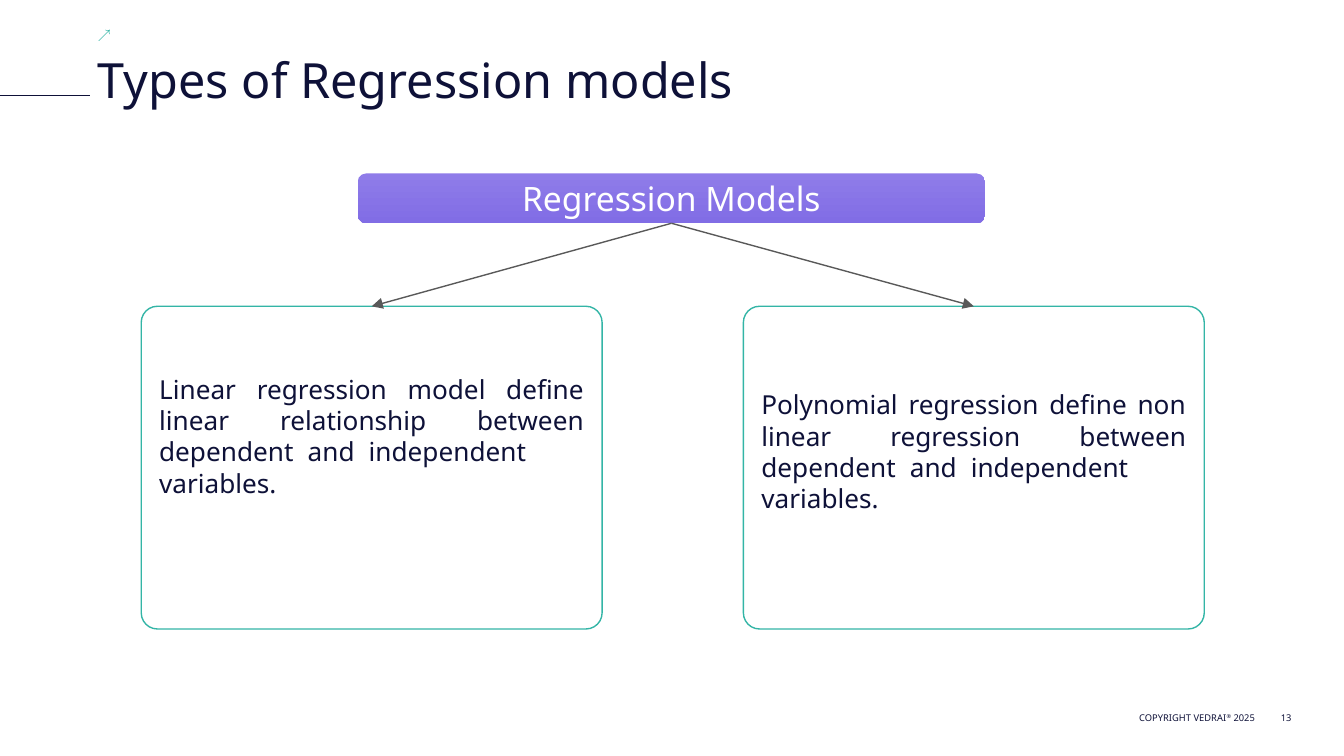
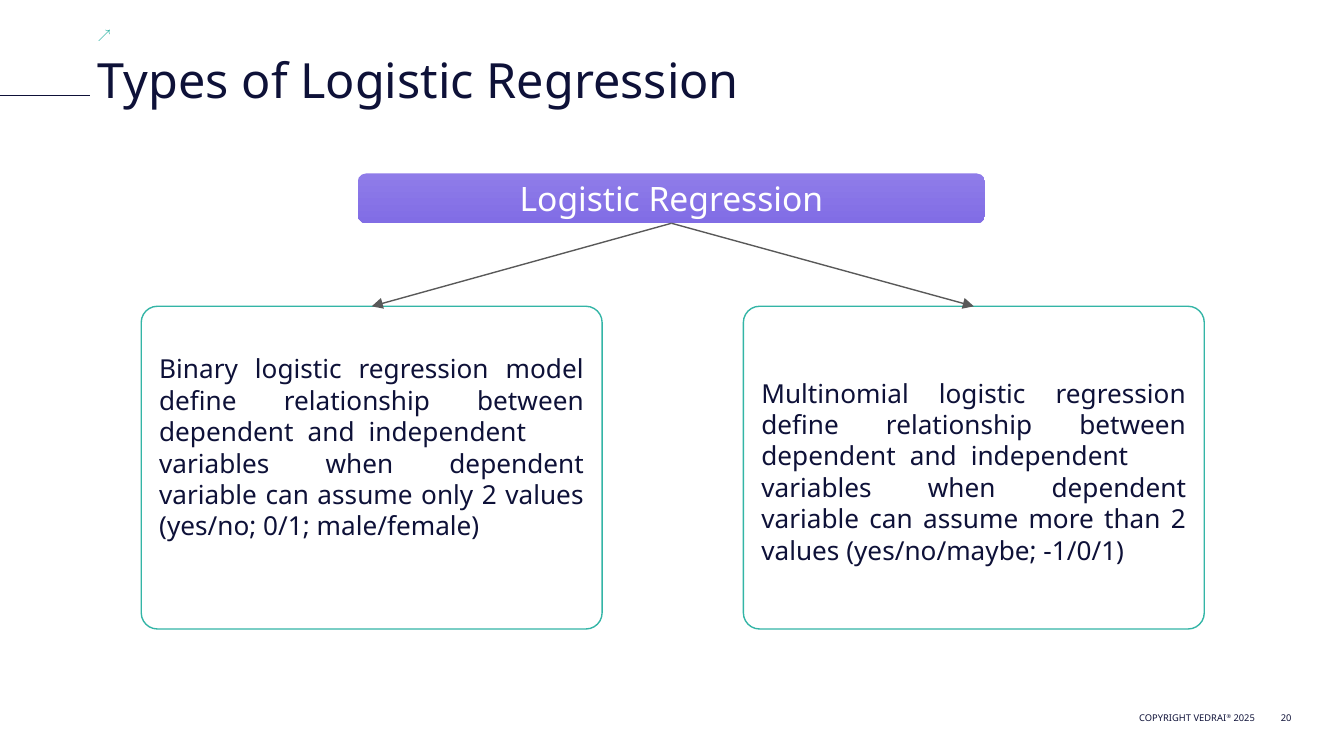
"""Build two slides that split a regression family into its two types."""
from lxml.etree import SubElement as Sub
from pptx import Presentation
from pptx.dml.color import RGBColor as Rgb
from pptx.enum.shapes import MSO_CONNECTOR as Link, MSO_SHAPE as Form
from pptx.enum.text import MSO_ANCHOR as Anchor, MSO_AUTO_SIZE as Fit, PP_ALIGN as Align
from pptx.oxml.ns import qn
from pptx.util import Cm, Pt

FONT = "Noto Sans"
HEX = {"ink": "0E1138", "mark": "00A491", "edge": "33B5A6", "arrow": "595959",
       "light": "8F7CE9", "deep": "816DE5", "white": "FFFFFF"}
CREDIT = [("COPYRIGHT VEDRAI", 0), ("®", 30), (" 2025", 0)]
PAGES = [
    {"title": "Types of Regression models", "head": "Regression Models", "page": "13",
     "kinds": [
         ("Linear regression model define linear relationship between "
          "dependent and independent \tvariables.", 1.17),
         ("Polynomial regression define non linear regression between "
          "dependent and independent \tvariables.", 1.47)]},
    {"title": "Types of Logistic Regression", "head": "Logistic Regression", "page": "20",
     "kinds": [
         ("Binary logistic regression model define relationship between "
          "dependent and independent \tvariables when dependent variable can "
          "assume only 2 values (yes/no; 0/1; male/female)", 0.79),
         ("Multinomial logistic regression define relationship between "
          "dependent and independent \tvariables when dependent variable can "
          "assume more than 2 values (yes/no/maybe; -1/0/1)", 1.25)]},
]
LEFT, STEP = 2.67, 11.38
TOP, WIDE, HIGH = 5.79, 8.71, 6.1


def tint(name):
    return Rgb.from_string(HEX[name])


def put(shape, text, size=14, ink="ink", align=Align.LEFT, anchor=Anchor.TOP,
        pad=(0, 0, 0, 0), gap=None, wrap=True):
    frame = shape.text_frame
    frame.auto_size = Fit.NONE
    frame.word_wrap = wrap
    frame.vertical_anchor = anchor
    (frame.margin_left, frame.margin_top,
     frame.margin_right, frame.margin_bottom) = map(Cm, pad)
    para = frame.paragraphs[0]
    para.alignment = align
    if gap:
        para.line_spacing = gap
    for part, lift in [(text, 0)] if isinstance(text, str) else text:
        run = para.add_run()
        run.text = part
        font = run.font
        font.name, font.size = FONT, Pt(size)
        font.color.rgb = tint(ink)
        if lift:
            run._r.get_or_add_rPr().set("baseline", str(lift * 1000))


def label(slide, text, spot, **style):
    put(slide.shapes.add_textbox(*map(Cm, spot)), text, **style)


def card(slide, spot, bend):
    shape = slide.shapes.add_shape(Form.ROUNDED_RECTANGLE, *map(Cm, spot))
    shape.adjustments[0] = bend
    shape.shadow.inherit = False
    return shape


def rule(slide, ink, ends=(0, 0, 0, 0)):
    line = slide.shapes.add_connector(Link.STRAIGHT, *map(Cm, ends))
    line.line.color.rgb = tint(ink)
    line.line.width = Pt(0.75)
    Sub(line._element.spPr, qn("a:effectLst"))
    return line


def frame(slide, title, page):
    label(slide, "↗", (1.85, 0.51, 0.46, 0.58), size=7, ink="mark", wrap=False)
    rule(slide, "ink", (0, 1.81, 1.7, 1.81))
    foot = {"size": 5, "align": Align.RIGHT, "anchor": Anchor.BOTTOM}
    label(slide, CREDIT, (20.32, 13.26, 3.4, 0.41), gap=1.15, **foot)
    label(slide, page, (23.77, 13.26, 0.64, 0.41), **foot)
    head = slide.shapes.title
    head.left, head.top, head.width, head.height = map(Cm, (1.85, 0.94, 21.44, 0.94))
    put(head, title, size=26)


def tree(slide, head, kinds):
    root = card(slide, (6.76, 3.28, 11.86, 0.94), 0.17)
    root.fill.gradient()
    root.fill.gradient_angle = 270
    for stop, name in zip(root.fill.gradient_stops, ("light", "deep")):
        stop.color.rgb = tint(name)
    root.line.fill.background()
    put(root, head, size=18, ink="white", align=Align.CENTER,
        anchor=Anchor.MIDDLE, pad=(0.25,) * 4)
    for i, (text, drop) in enumerate(kinds):
        box = card(slide, (LEFT + i * STEP, TOP, WIDE, HIGH), 0.05)
        box.fill.background()
        box.line.color.rgb = tint("edge")
        box.line.width = Pt(0.75)
        put(box, text, align=Align.JUSTIFY, pad=(0.25, drop, 0.25, 0.25))
        line = rule(slide, "arrow")
        line.begin_connect(root, 2)
        line.end_connect(box, 0)
        Sub(line.line._get_or_add_ln(), qn("a:tailEnd"), type="triangle")


def main():
    deck = Presentation()
    deck.slide_width, deck.slide_height = Cm(25.4), Cm(14.29)
    for page in PAGES:
        slide = deck.slides.add_slide(deck.slide_layouts[5])
        frame(slide, page["title"], page["page"])
        tree(slide, page["head"], page["kinds"])
    deck.save("out.pptx")


if __name__ == "__main__":
    main()
